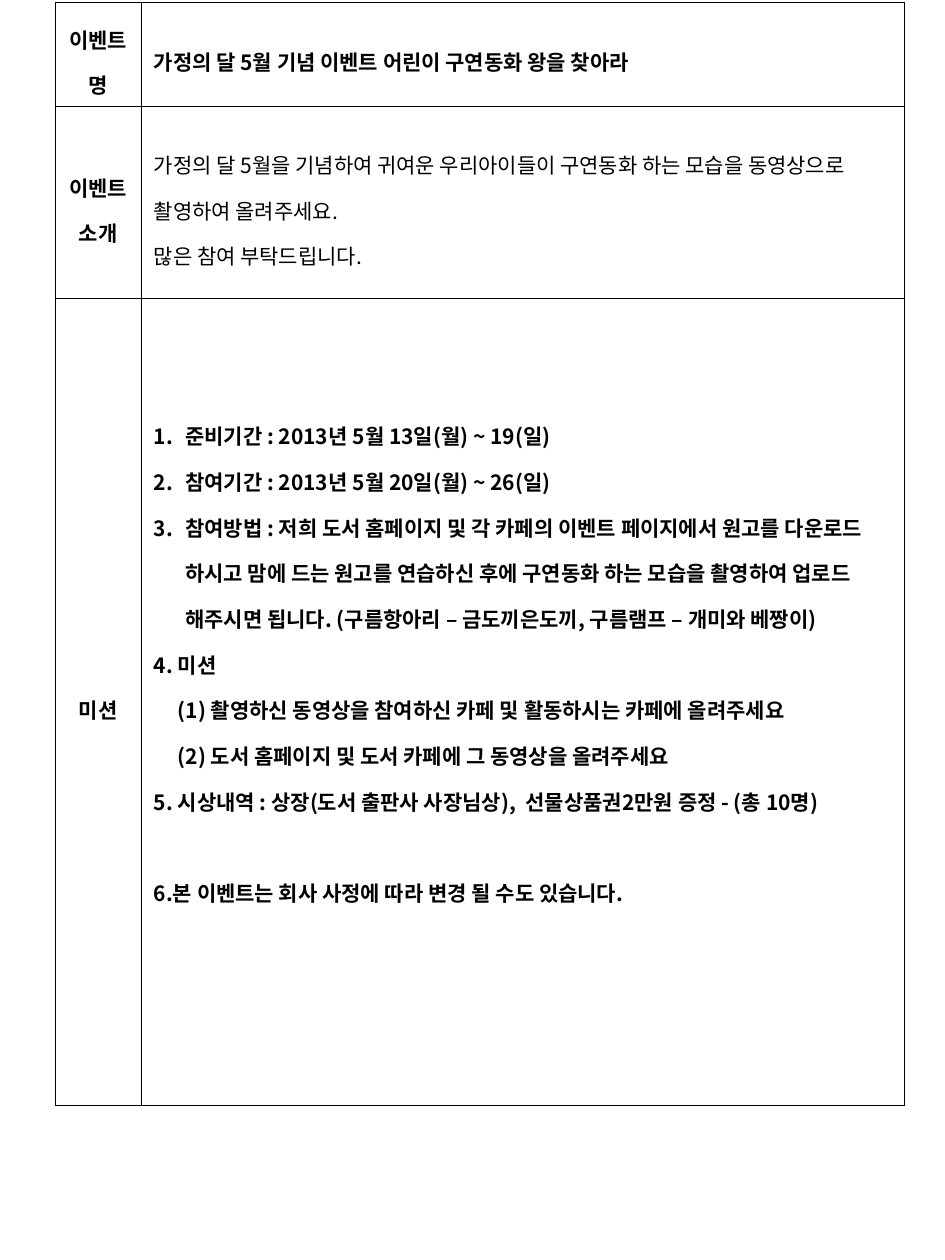
from lxml import etree
from pptx import Presentation
from pptx import util as u
from pptx.dml.color import RGBColor
from pptx.enum import text
from pptx.oxml import ns

COLORS = {"ink": "000000"}
FONT = "Noto Sans CJK KR"
LINE_HEIGHT = 26
HANGING = {"left": 18, "indent": -18}
NUMBERED = {**HANGING, "numbered": True}
SUB_ITEM = {"left": 13.7}


def write_paragraph(paragraph, content, bold=True, align=text.PP_ALIGN.LEFT,
                    left=0, indent=0, numbered=False, before=0):
    """Write one formatted paragraph of a cell."""
    paragraph.alignment = align
    paragraph.line_spacing = 1.5
    paragraph.space_before = u.Pt(before)
    properties = paragraph._p.get_or_add_pPr()
    properties.set("marL", str(u.Pt(left)))
    properties.set("indent", str(u.Pt(indent)))
    if numbered:
        bullet_font = etree.SubElement(properties, ns.qn("a:buFont"))
        bullet_font.set("typeface", "+mj-lt")
        number = etree.SubElement(properties, ns.qn("a:buAutoNum"))
        number.set("type", "arabicPeriod")
    run = paragraph.add_run()
    run.text = content
    run.font.size = u.Pt(12)
    run.font.bold = bold
    run.font.name = FONT
    run.font.color.rgb = RGBColor.from_string(COLORS["ink"])
    east_asian = etree.SubElement(run._r.get_or_add_rPr(), ns.qn("a:ea"))
    east_asian.set("typeface", FONT)


class EventSheet:
    def __init__(self, slide, border_width=0.45):
        self.slide = slide
        self.border_width = border_width

    def table(self, left, top, widths, heights):
        shape = self.slide.shapes.add_table(
            len(heights), len(widths), u.Pt(left), u.Pt(top),
            u.Pt(sum(widths)), u.Pt(sum(heights)))
        table = shape.table
        table.first_row = table.horz_banding = False
        for column, width in zip(table.columns, widths):
            column.width = u.Pt(width)
        for row, height in zip(table.rows, heights):
            row.height = u.Pt(height)
        return table

    def borders(self, cell):
        properties = cell._tc.get_or_add_tcPr()
        for position, side in enumerate(("lnL", "lnR", "lnT", "lnB")):
            line = etree.Element(ns.qn(f"a:{side}"))
            line.set("w", str(u.Pt(self.border_width)))
            fill = etree.SubElement(line, ns.qn("a:solidFill"))
            etree.SubElement(fill, ns.qn("a:srgbClr")).set("val", COLORS["ink"])
            properties.insert(position, line)

    def cell(self, cell, paragraphs, bottom=3.6):
        cell.fill.background()
        self.borders(cell)
        cell.vertical_anchor = text.MSO_ANCHOR.MIDDLE
        cell.margin_left = cell.margin_right = u.Pt(7.2)
        cell.margin_top, cell.margin_bottom = u.Pt(3.6), u.Pt(bottom)
        frame = cell.text_frame
        for index, (content, style) in enumerate(paragraphs):
            paragraph = frame.add_paragraph() if index else frame.paragraphs[0]
            write_paragraph(paragraph, content, **style)


# Row label, paragraphs with their format, bottom margin
ROWS = [
    ("이벤트 명", [("가정의 달 5월 기념 이벤트 어린이 구연동화 왕을 찾아라", {})], 3.6),
    ("이벤트소개", [
        ("가정의 달 5월을 기념하여 귀여운 우리아이들이 구연동화 하는 모습을 "
         "동영상으로 촬영하여 올려주세요.", {"bold": False}),
        ("많은 참여 부탁드립니다.", {"bold": False}),
    ], 3.6),
    ("미션", [
        ("준비기간 : 2013년 5월 13일(월) ~ 19(일)", NUMBERED),
        ("참여기간 : 2013년 5월 20일(월) ~ 26(일)", NUMBERED),
        ("참여방법 : 저희 도서 홈페이지 및 각 카페의 이벤트 페이지에서 원고를 "
         "다운로드 하시고 맘에 드는 원고를 연습하신 후에 구연동화 하는 모습을 "
         "촬영하여 업로드 해주시면 됩니다. (구름항아리 – 금도끼은도끼, "
         "구름램프 – 개미와 베짱이)", NUMBERED),
        ("4. 미션", HANGING),
        ("(1) 촬영하신 동영상을 참여하신 카페 및 활동하시는 카페에 올려주세요", SUB_ITEM),
        ("(2) 도서 홈페이지 및 도서 카페에 그 동영상을 올려주세요", SUB_ITEM),
        ("5. 시상내역 : 상장(도서 출판사 사장님상),  선물상품권2만원 증정 - (총 10명)",
         HANGING),
        ("6.본 이벤트는 회사 사정에 따라 변경 될 수도 있습니다.",
         {**HANGING, "before": LINE_HEIGHT}),
    ], 3.6 + 2 * LINE_HEIGHT),
]


def main():
    presentation = Presentation()
    presentation.slide_width, presentation.slide_height = u.Pt(540), u.Pt(720)
    sheet = EventSheet(presentation.slides.add_slide(presentation.slide_layouts[6]))

    # Event table: labels on the left, details on the right
    table = sheet.table(31.5, 1.2, widths=(49.2, 436.3), heights=(50.4, 110, 461))
    for index, (label, details, bottom) in enumerate(ROWS):
        sheet.cell(table.cell(index, 0), [(label, {"align": text.PP_ALIGN.CENTER})])
        sheet.cell(table.cell(index, 1), details, bottom)

    presentation.save("out.pptx")


if __name__ == "__main__":
    main()
